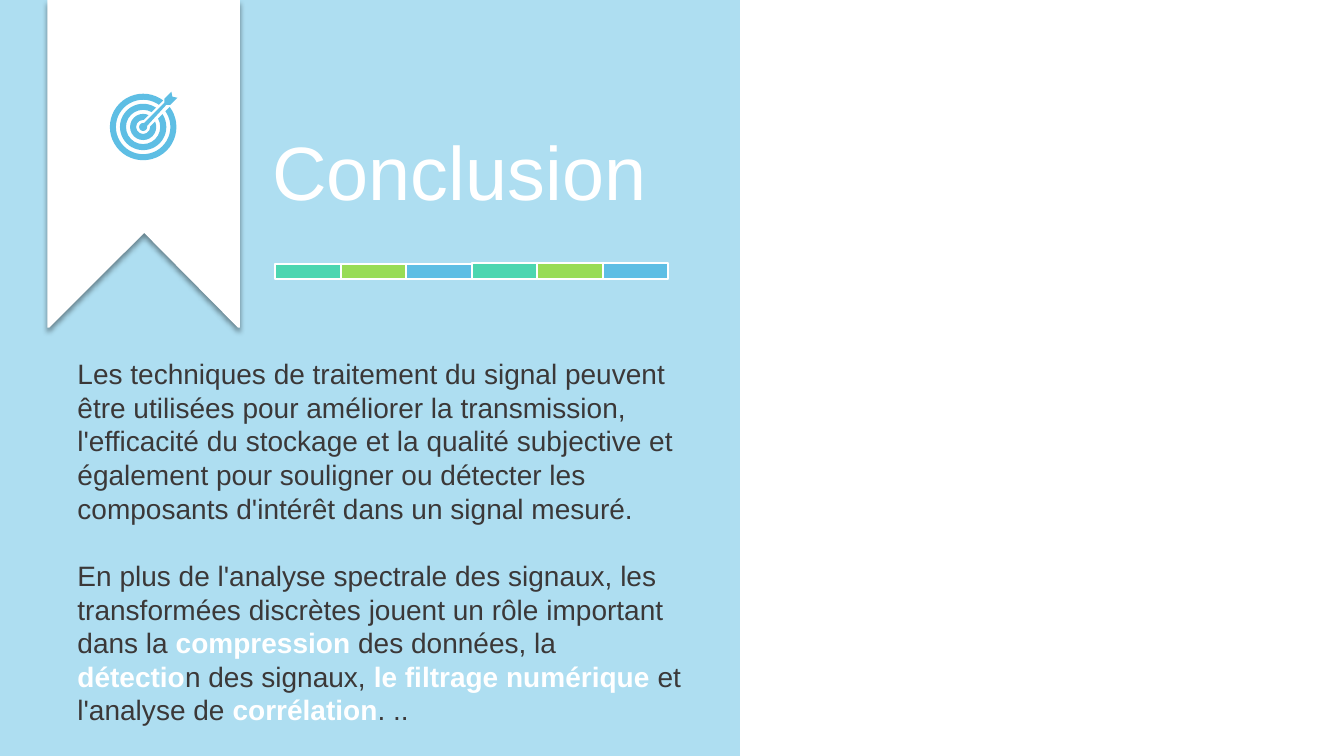
from math import asin, ceil, cos, degrees, floor, radians, sin

from lxml.etree import SubElement
from pptx import Presentation
from pptx.dml.color import RGBColor
from pptx.enum.shapes import MSO_SHAPE
from pptx.enum.text import MSO_ANCHOR, PP_ALIGN
from pptx.oxml.ns import qn
from pptx.util import Pt

PX = 9144  # EMU per px, 100 px to the inch
FONT = "Arial"
COLORS = {
    "white": "FFFFFF",
    "blue": "5EBEE4",
    "teal": "4CD6B0",
    "green": "98DC56",
    "text": "3B3838",
    "shadow": "000000",
}

INTRO = [
    ("Les techniques de traitement du signal peuvent être utilisées pour "
     "améliorer la transmission, l'efficacité du stockage et la qualité "
     "subjective et également pour souligner ou détecter les composants "
     "d'intérêt dans un signal mesuré.", False),
]
# (text, highlighted)
APPLICATIONS = [
    ("En plus de l'analyse spectrale des signaux, les transformées discrètes "
     "jouent un rôle important dans la ", False),
    ("compression", True),
    (" des données, la ", False),
    ("détectio", True),
    ("n des signaux, ", False),
    ("le filtrage numérique ", True),
    ("et l'analyse de ", False),
    ("corrélation", True),
    (". ..", False),
]


def rgb(name):
    return RGBColor.from_string(COLORS[name])


def box(*lengths):
    return [v * PX for v in lengths]


def paint(sp, fill, line=None):
    sp.shadow.inherit = False
    sp.fill.solid()
    sp.fill.fore_color.rgb = rgb(fill)
    if line:
        sp.line.color.rgb = rgb(line)
        sp.line.width = Pt(1.5)
    else:
        sp.line.fill.background()
    return sp


def add_rect(shapes, x, y, w, h, fill, line=None):
    sp = shapes.add_shape(MSO_SHAPE.RECTANGLE, *box(x, y, w, h))
    return paint(sp, fill, line)


def add_outline(s, contours, fill):
    """One freeform from several closed contours of px points."""
    builder = None
    for points in contours:
        first, *rest = [(x * PX, y * PX) for x, y in points]
        if builder:
            builder.move_to(*first)
        else:
            builder = s.shapes.build_freeform(*first)
        builder.add_line_segments(rest)
    return paint(builder.convert_to_shape(), fill)


def set_alpha(sp, percent):
    color = sp.fill._xPr.find(qn("a:solidFill"))[0]
    SubElement(color, qn("a:alpha"), val=str(percent * 1000))


def add_shadow(sp, percent, blur, dist):
    effects = sp._element.spPr.find(qn("a:effectLst"))
    shadow = SubElement(effects, qn("a:outerShdw"), blurRad=str(Pt(blur)),
                        dist=str(Pt(dist)), dir="5400000", rotWithShape="0")
    color = SubElement(shadow, qn("a:srgbClr"), val=COLORS["shadow"])
    SubElement(color, qn("a:alpha"), val=str(percent * 1000))


def arc_angles(radius, gap):
    """Angles round a circle open to the upper right, split at quadrants."""
    half = degrees(asin(gap / 2 / radius))
    start, end = half - 45, 315 - half
    quadrants = range(ceil(start / 90) * 90, floor(end / 90) * 90 + 1, 90)
    return [start, *quadrants, end]


def add_target(s, cx, cy):
    contours, arcs = [], []  # arcs: one entry per segment, None if straight

    def arc(radius, gap, backwards=False):
        angles = arc_angles(radius, gap)
        if backwards:
            angles.reverse()
        arcs.extend((radius, a, b - a) for a, b in zip(angles, angles[1:]))
        return [(cx + radius * cos(radians(a)), cy + radius * sin(radians(a)))
                for a in angles]

    for outer in (13, 23, 33):
        ring = arc(outer, 9)
        arcs.append(None)
        contours.append(ring + arc(outer - 6, 9, backwards=True))

    # Arrow, its tip rounded at the centre
    hub = arc(4, 4)
    feathers = [(21, -24), (21, -28), (28, -35), (29, -30), (34, -29),
                (27, -22), (23, -22)]
    arcs.extend([None] * len(feathers))
    contours.append(hub + [(cx + x, cy + y) for x, y in feathers])

    sp = add_outline(s, contours, "blue")
    for segment, bend in zip(list(sp._element.iter(qn("a:lnTo"))), arcs):
        if bend:
            radius, start, sweep = bend
            size = str(radius * PX)
            curve = segment.makeelement(qn("a:arcTo"), {
                "wR": size, "hR": size,
                "stAng": str(round(start % 360 * 60000)),
                "swAng": str(round(sweep * 60000))})
            segment.getparent().replace(segment, curve)


def set_title(s, text, x, y, w, h):
    title = s.shapes.title
    title.left, title.top, title.width, title.height = box(x, y, w, h)
    tf = title.text_frame
    tf.text = text
    tf.word_wrap = True
    tf.vertical_anchor = MSO_ANCHOR.MIDDLE
    p = tf.paragraphs[0]
    p.alignment = PP_ALIGN.JUSTIFY
    p.line_spacing = 0.9
    p.space_before = Pt(10)
    p.font.name, p.font.size = FONT, Pt(54)
    p.font.color.rgb = rgb("white")


def add_body(s, paragraphs, x, y, w, h):
    tf = s.shapes.add_textbox(*box(x, y, w, h)).text_frame
    tf.word_wrap = True
    for i, runs in enumerate(paragraphs):
        p = tf.add_paragraph() if i else tf.paragraphs[0]
        p.font.name, p.font.size = FONT, Pt(20)
        p.line_spacing = Pt(24)
        p.space_before = Pt(24 if i else 0)
        for text, highlighted in runs:
            r = p.add_run()
            r.text = text
            r.font.bold = highlighted
            r.font.color.rgb = rgb("white" if highlighted else "text")


def main():
    prs = Presentation()
    prs.slide_width, prs.slide_height = box(1333, 750)
    s = prs.slides.add_slide(prs.slide_layouts[5])

    # Left panel, moved behind the title
    panel = add_rect(s.shapes, 0, 0, 734, 750, "blue")
    set_alpha(panel, 50)
    s.shapes._spTree.insert(2, panel._element)
    set_title(s, "Conclusion", 260, 80, 405, 190)

    # Ribbon with the target icon
    ribbon = add_outline(s, [[(47, 0), (238, 0), (238, 325), (236, 325),
                              (143, 231), (49, 325), (47, 325)]], "white")
    add_shadow(ribbon, 40, blur=4, dist=3)
    add_target(s, 142, 126)

    # Coloured rule: two sets of three bars, the middle one at the back
    bars = s.shapes.add_group_shape().shapes
    for left, top, height in [(273, 262, 15), (468, 261, 16)]:
        for i, color in [(1, "green"), (0, "teal"), (2, "blue")]:
            add_rect(bars, left + 65 * i, top, 65, height, color, line="white")

    add_body(s, [INTRO, APPLICATIONS], 67, 349, 620, 380)
    prs.save("out.pptx")


if __name__ == "__main__":
    main()
